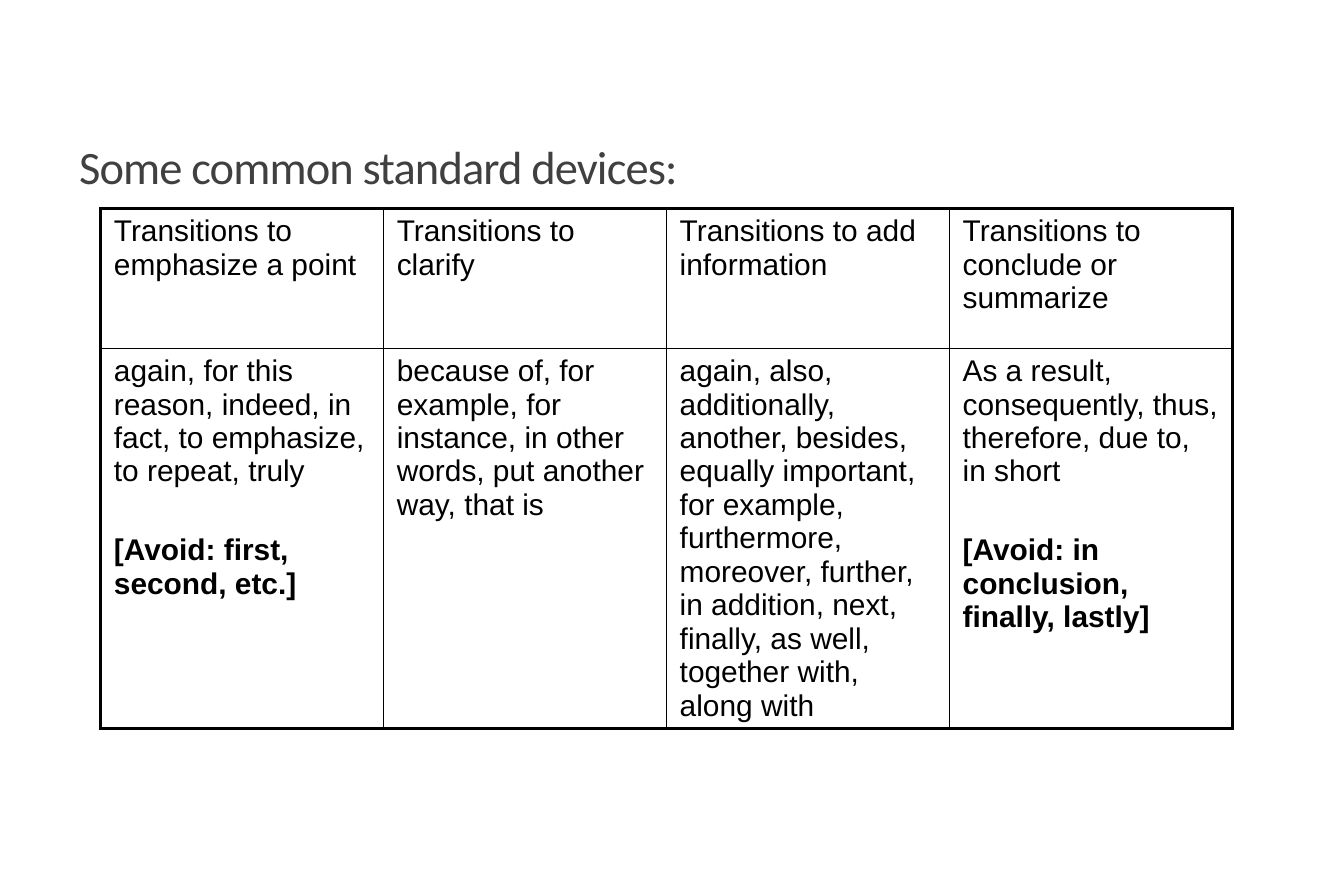
from dataclasses import dataclass

from lxml.etree import SubElement
from pptx import Presentation
from pptx.dml.color import RGBColor
from pptx.enum.text import MSO_ANCHOR, PP_ALIGN
from pptx.oxml.ns import qn
from pptx.util import Inches, Pt


@dataclass(frozen=True)
class Theme:
    title_font: str = "Calibri"
    body_font: str = "Arial"
    title_color: str = "404040"
    ink: str = "000000"
    title_size: float = 28
    body_size: float = 18
    outer_line: float = 2.25
    inner_line: float = 1


THEME = Theme()
WIDTH, HEIGHT = Inches(11.25), Inches(7.5)
MARGIN = WIDTH * 0.05
TABLE_LEFT, TABLE_TOP = WIDTH * 0.075, HEIGHT * 0.233
COLUMN_WIDTH = WIDTH * 0.2105
ROW_HEIGHTS = (HEIGHT * 0.156, HEIGHT * 0.4)

# Each column: heading, devices, and the devices to avoid where given
COLUMNS = [
    ("Transitions to emphasize a point",
     "again, for this reason, indeed, in fact, to emphasize, to repeat, truly",
     "[Avoid: first, second, etc.]"),
    ("Transitions to clarify",
     "because of, for example, for instance, in other words, "
     "put another way, that is", None),
    ("Transitions to add information",
     "again, also, additionally, another, besides, equally important, "
     "for example, furthermore, moreover, further, in addition, next, "
     "finally, as well, together with, along with", None),
    ("Transitions to conclude or summarize",
     "As a result, consequently, thus, therefore, due to, in short",
     "[Avoid: in conclusion, finally, lastly]"),
]


def write(para, text, *, font=THEME.body_font, size=THEME.body_size,
          color=THEME.ink, bold=False, before=0, line_spacing=1.0, tracking=0):
    para.alignment = PP_ALIGN.LEFT
    para.space_before = Pt(before)
    para.line_spacing = line_spacing
    span = para.add_run()
    span.text = text
    span.font.name = font
    span.font.size = Pt(size)
    span.font.bold = bold
    span.font.color.rgb = RGBColor.from_string(color)
    if tracking:
        span.font._element.set("spc", str(round(tracking * 100)))


def add_title(page, text):
    box = page.shapes.title
    box.left, box.top = int(MARGIN), int(HEIGHT / 15)
    box.width, box.height = int(WIDTH * 0.785), int(HEIGHT * 0.157)
    box.text_frame.word_wrap = True
    box.text_frame.vertical_anchor = MSO_ANCHOR.BOTTOM
    write(box.text_frame.paragraphs[0], text, font=THEME.title_font,
          size=THEME.title_size, color=THEME.title_color,
          line_spacing=0.85, tracking=-0.5)


def set_borders(cell, outer_sides):
    properties = cell._tc.get_or_add_tcPr()
    for side in "LRTB":
        points = THEME.outer_line if side in outer_sides else THEME.inner_line
        line = SubElement(properties, qn(f"a:ln{side}"), w=str(Pt(points)))
        fill = SubElement(line, qn("a:solidFill"))
        SubElement(fill, qn("a:srgbClr"), val=THEME.ink)


def fill_cell(cell, text, avoid, outer_sides):
    cell.margin_left = cell.margin_right = Inches(0.11)
    cell.margin_top = cell.margin_bottom = Inches(0.05)
    cell.vertical_anchor = MSO_ANCHOR.TOP
    set_borders(cell, outer_sides)
    cell.fill.background()
    write(cell.text_frame.paragraphs[0], text)
    if avoid:
        write(cell.text_frame.add_paragraph(), avoid, bold=True, before=27.5)


def add_devices_table(page):
    frame = page.shapes.add_table(
        len(ROW_HEIGHTS), len(COLUMNS), int(TABLE_LEFT), int(TABLE_TOP),
        int(COLUMN_WIDTH * len(COLUMNS)), int(sum(ROW_HEIGHTS)))
    table = frame.table
    table.first_row = table.horz_banding = False
    for row, height in zip(table.rows, ROW_HEIGHTS):
        row.height = int(height)
    for index, (heading, devices, avoid) in enumerate(COLUMNS):
        table.columns[index].width = int(COLUMN_WIDTH)
        edge = {0: "L", len(COLUMNS) - 1: "R"}.get(index, "")
        fill_cell(table.cell(0, index), heading, None, edge + "T")
        fill_cell(table.cell(1, index), devices, avoid, edge + "B")


def main():
    deck = Presentation()
    deck.slide_width, deck.slide_height = WIDTH, HEIGHT
    page = deck.slides.add_slide(deck.slide_layouts.get_by_name("Title Only"))
    add_title(page, "Some common standard devices:")
    add_devices_table(page)
    deck.save("out.pptx")


if __name__ == "__main__":
    main()
